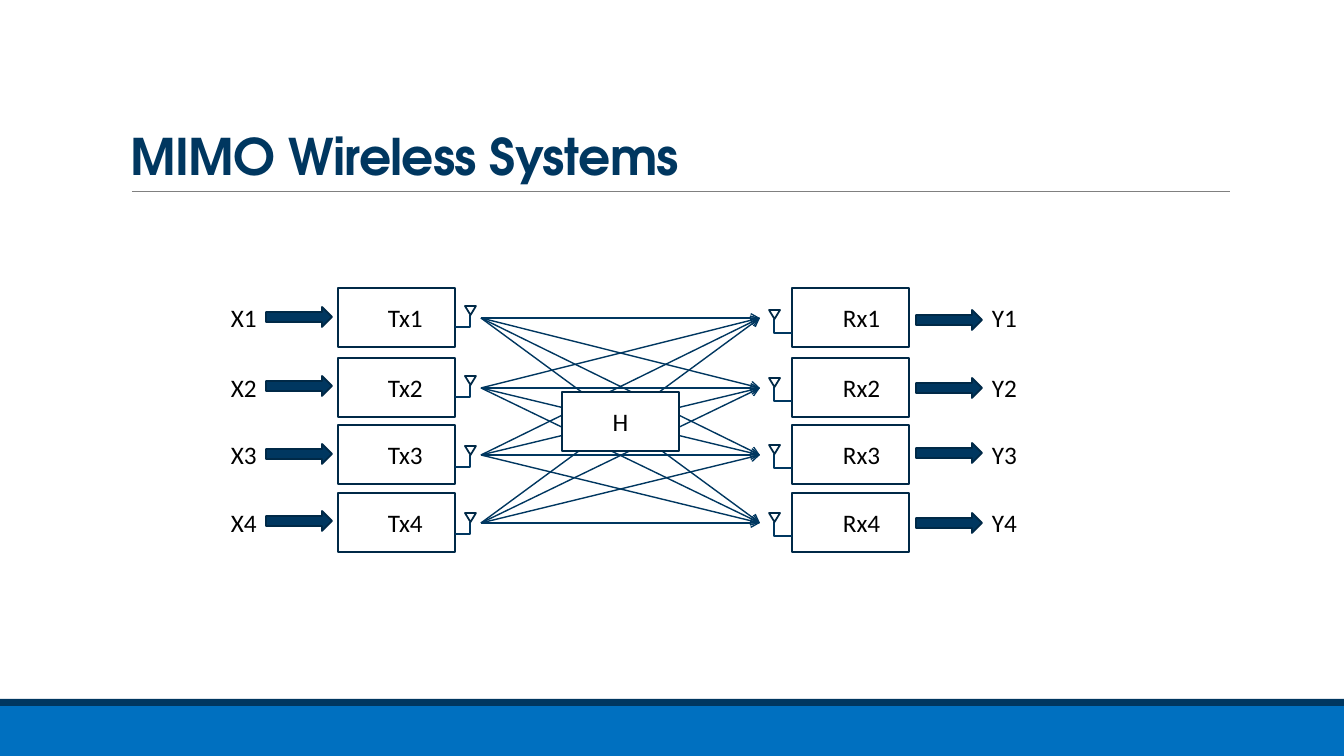
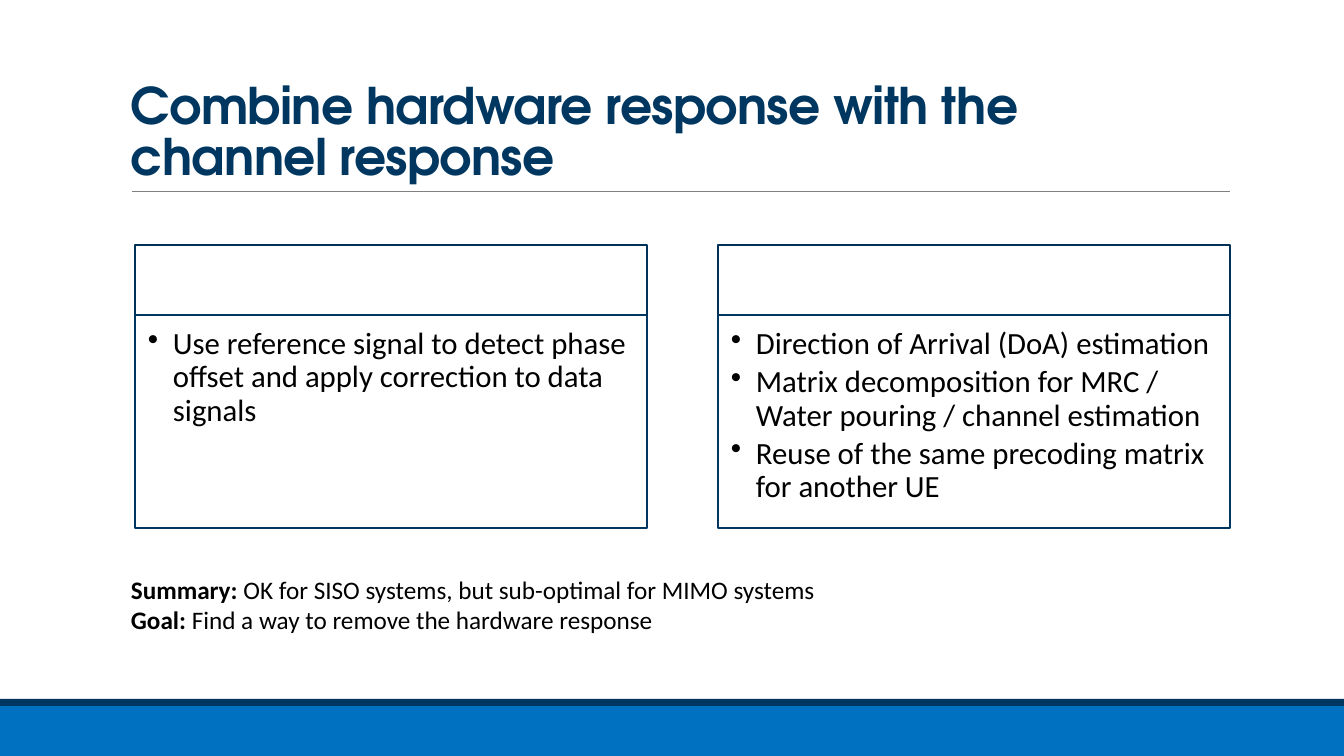
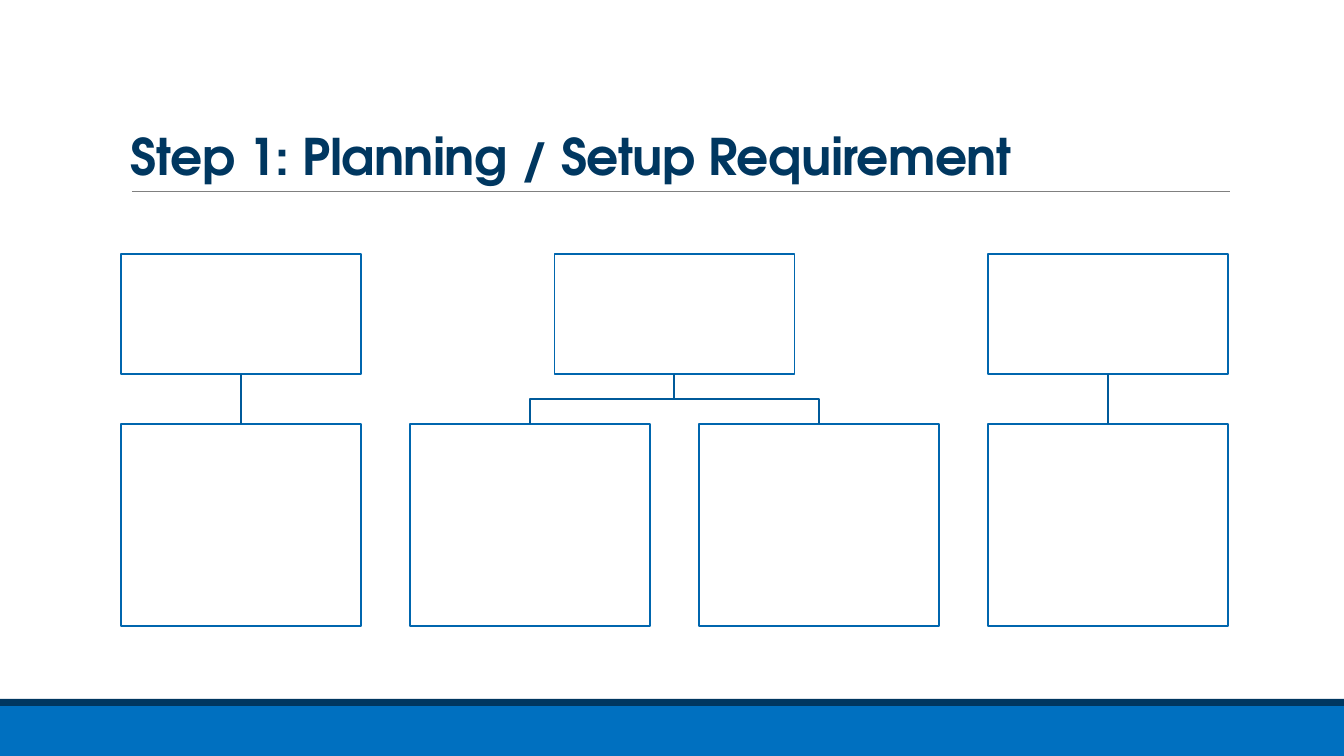
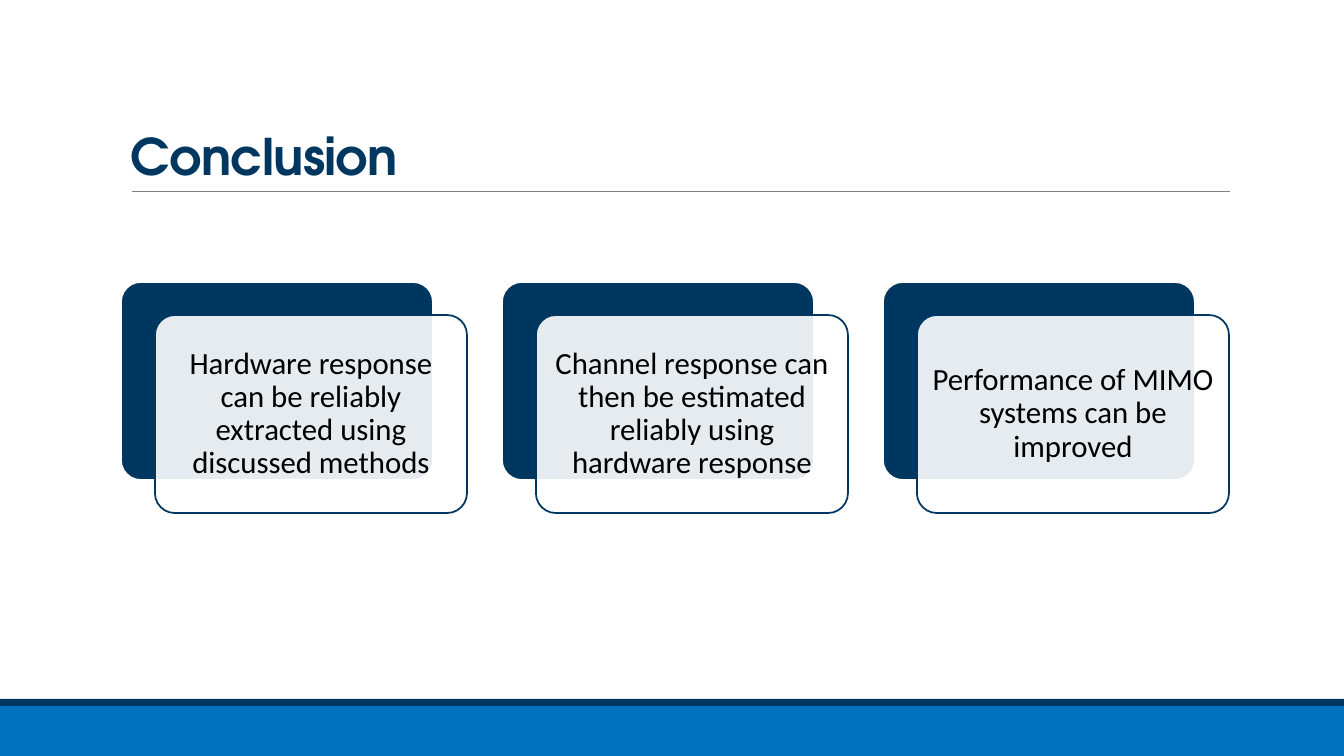
import pptx
import pptx.dml.color
import pptx.enum.dml
import pptx.enum.shapes
import pptx.enum.text
import pptx.oxml.ns
import pptx.util
from lxml import etree

SLIDE_W, SLIDE_H = 1344, 756
PX = 12192000 / SLIDE_W
NAVY, BLUE, INK, WHITE = "003760", "0070C0", "002947", "FFFFFF"

Shape = pptx.enum.shapes.MSO_SHAPE
Connector = pptx.enum.shapes.MSO_CONNECTOR
Anchor = pptx.enum.text.MSO_ANCHOR
Align = pptx.enum.text.PP_ALIGN
Pt = pptx.util.Pt
qn = pptx.oxml.ns.qn
rgb = pptx.dml.color.RGBColor.from_string


def paint(sp, line=None, pt=1.25, fill=None, alpha=None):
    """Set outline and fill of a shape or connector and drop its shadow."""
    if line:
        sp.line.color.rgb = rgb(line)
        sp.line.width = Pt(pt)
    else:
        sp.line.fill.background()
    if fill:
        sp.fill.solid()
        sp.fill.fore_color.rgb = rgb(fill)
        if alpha:
            colour = sp._element.spPr.find(qn("a:solidFill"))[0]
            etree.SubElement(colour, qn("a:alpha"), val=str(alpha * 1000))
    elif hasattr(sp, "fill"):
        sp.fill.background()
    etree.SubElement(sp._element.spPr, qn("a:effectLst"))
    return sp


def write(sp, paras, frame={}, para={}, font={}, colour="000000"):
    """Fill a shape with paragraphs, each a list of run texts."""
    tf = sp.text_frame
    for name, value in {"word_wrap": True, "vertical_anchor": Anchor.TOP, **frame}.items():
        setattr(tf, name, value)
    for i, runs in enumerate(paras):
        p = tf.paragraphs[0] if i == 0 else tf.add_paragraph()
        for name, value in {"alignment": Align.LEFT, **para}.items():
            setattr(p, name, value)
        for text in runs:
            r = p.add_run()
            r.text = text
            for name, value in {"name": "Calibri", "size": Pt(18), **font}.items():
                setattr(r.font, name, value)
            r.font.color.rgb = rgb(colour)
    return tf


prs = pptx.Presentation()
prs.slide_width, prs.slide_height = round(SLIDE_W * PX), round(SLIDE_H * PX)

# Bands, rule and title of every slide
titles = [
    "MIMO Wireless Systems",
    "Combine hardware response with the channel response",
    "Step 1: Planning / Setup Requirement",
    "Conclusion",
]
for title in titles:
    s = prs.slides.add_slide(prs.slide_layouts[6])
    for y, h, colour in ((706, 50, BLUE), (699, 7, NAVY)):
        band = [round(v * PX) for v in (0, y, SLIDE_W, h)]
        paint(s.shapes.add_shape(Shape.RECTANGLE, *band), fill=colour)
    rule = [round(v * PX) for v in (132, 191, 1230, 191)]
    paint(s.shapes.add_connector(Connector.STRAIGHT, *rule), "808080", 0.5)
    sp = s.shapes.add_textbox(*[round(v * PX) for v in (121, 31, 1109, 160)])
    tf = write(sp, [[title]], {"vertical_anchor": Anchor.BOTTOM}, {"line_spacing": 0.85},
               {"name": "TeX Gyre Adventor", "size": Pt(36), "bold": True}, NAVY)
    tf.paragraphs[0].runs[0].font._element.set("spc", "-50")
mimo, combine, planning, conclusion = prs.slides

# Slide 1: four transmitters, the channel and four receivers
# Tops of: box, arrow in, arrow out, Tx antenna, Rx antenna
rows = [
    (288, 307, 310, 306, 310),
    (358, 376, 378, 376, 378),
    (425, 444, 443, 446, 445),
    (493, 511, 513, 513, 513),
]
for top, *_ in rows:
    for target, *_ in rows:
        ends = [round(v * PX) for v in (481, top + 30, 760, target + 30)]
        path_line = paint(mimo.shapes.add_connector(Connector.STRAIGHT, *ends), NAVY, 1)
        etree.SubElement(path_line.line._get_or_add_ln(), qn("a:tailEnd"), type="arrow")

for n, (top, arrow_in, arrow_out, tx, rx) in enumerate(rows, 1):
    for kind, x, y, w, h, fill in (
        (Shape.RECTANGLE, 338, top, 117, 59, None),
        (Shape.RECTANGLE, 792, top, 117, 59, None),
        (Shape.RIGHT_ARROW, 266, arrow_in, 66, 20, NAVY),
        (Shape.RIGHT_ARROW, 916, arrow_out, 66, 20, NAVY),
    ):
        sp = mimo.shapes.add_shape(kind, *[round(v * PX) for v in (x, y, w, h)])
        paint(sp, INK, fill=fill)
    for name, x in (("X", 221), ("Tx", 378), ("Rx", 833), ("Y", 982)):
        sp = mimo.shapes.add_textbox(*[round(v * PX) for v in (x, top + 9, 65, 40)])
        write(sp, [[f"{name}{n}"]])
    for side, mast, y, drop in ((455, 470, tx, 21), (792, 774, rx, 23)):
        ends = [round(v * PX) for v in (side, y + drop, mast, y + 9)]
        wire = paint(mimo.shapes.add_connector(Connector.ELBOW, *ends), NAVY, 1)
        bends = wire._element.spPr.find(qn("a:prstGeom")).get_or_add_avLst()
        etree.SubElement(bends, qn("a:gd"), name="adj1", fmla="val 100000")
        dish = [round(v * PX) for v in (mast - 5, y, 11, 9)]
        sp = paint(mimo.shapes.add_shape(Shape.ISOSCELES_TRIANGLE, *dish), INK)
        sp.rotation = 180

sp = mimo.shapes.add_shape(Shape.RECTANGLE, *[round(v * PX) for v in (562, 392, 117, 59)])
write(paint(sp, INK, fill=WHITE), [["H"]], {"vertical_anchor": Anchor.MIDDLE},
      {"alignment": Align.CENTER})

# Slide 2: two columns and a summary
columns = [
    (135, [["Use reference signal to detect phase offset and apply correction to data signals"]]),
    (718, [["Direction of Arrival (DoA) estimation"],
           ["Matrix decomposition for MRC / Water pouring / channel estimation"],
           ["Reuse of the same precoding matrix for another UE"]]),
]
margins = {"margin_left": 13, "margin_top": 13, "margin_right": 17, "margin_bottom": 19}
margins = {name: round(v * PX) for name, v in margins.items()}
for x, points in columns:
    head, body = [
        combine.shapes.add_shape(Shape.RECTANGLE, *[round(v * PX) for v in (x, y, 512, h)])
        for y, h in ((245, 70), (315, 213))
    ]
    paint(head, "003257", fill=WHITE)
    paint(body, NAVY, fill=WHITE, alpha=90)
    tf = write(body, points, margins, {"line_spacing": 0.9, "space_after": Pt(3.5)},
               {"size": Pt(22)})
    for p in tf.paragraphs:
        pPr = p._p.get_or_add_pPr()
        pPr.set("marL", str(round(25 * PX)))
        pPr.set("indent", str(round(-25 * PX)))
        etree.SubElement(pPr, qn("a:buChar"), char="•")

sp = combine.shapes.add_textbox(*[round(v * PX) for v in (121, 569, 1109, 71)])
tf = write(sp, [
    ["Summary: ", "OK for SISO systems, but sub-optimal for MIMO systems"],
    ["Goal: ", "Find a way to remove the hardware response"],
])
for p in tf.paragraphs:
    p.runs[0].font.bold = True

# Slide 3: three parents over four children, the middle one forking
LEFT, PITCH, BOX_W = 121, 289, 240
parents, children = [
    [paint(planning.shapes.add_shape(
        Shape.RECTANGLE, *[round(v * PX) for v in (LEFT + col * PITCH, y, BOX_W, h)]),
        "0066AE", fill=WHITE) for col in cols]
    for cols, y, h in (((0, 1.5, 3), 254, 120), ((0, 1, 2, 3), 424, 202))
]
for parent, child in ((parents[0], children[0]), (parents[2], children[3])):
    link = planning.shapes.add_connector(Connector.STRAIGHT, 0, 0, 0, 0)
    link.begin_connect(parent, 2)
    link.end_connect(child, 0)
    paint(link, "005A9A")
stem = LEFT + 1.5 * PITCH + BOX_W / 2
for col in (1, 2):
    end = LEFT + col * PITCH + BOX_W / 2
    branch = planning.shapes.build_freeform(round(stem), 374, scale=PX)
    branch.add_line_segments([(round(stem), 399), (end, 399), (end, 424)], close=False)
    paint(branch.convert_to_shape(), "005A9A")

# Slide 4: three overlapping cards
points = [
    "Hardware response can be reliably extracted using discussed methods",
    "Channel response can then be estimated reliably using hardware response",
    "Performance of MIMO systems can be improved",
]
inset = dict.fromkeys(("margin_left", "margin_top", "margin_right", "margin_bottom"),
                      round(9 * PX))
for i, point in enumerate(points):
    x = 121 + i * 381
    back, front = [
        conclusion.shapes.add_shape(
            Shape.ROUNDED_RECTANGLE, *[round(v * PX) for v in (x + dx, y, 312, 198)])
        for dx, y in ((0, 282), (34, 315))
    ]
    back.adjustments[0] = front.adjustments[0] = 0.1
    paint(back, WHITE, fill=NAVY)
    paint(front, NAVY, fill=WHITE, alpha=90)
    write(front, [[point]], {"vertical_anchor": Anchor.MIDDLE, **inset},
          {"alignment": Align.CENTER, "line_spacing": 0.9}, {"size": Pt(22)})

prs.save("out.pptx")
